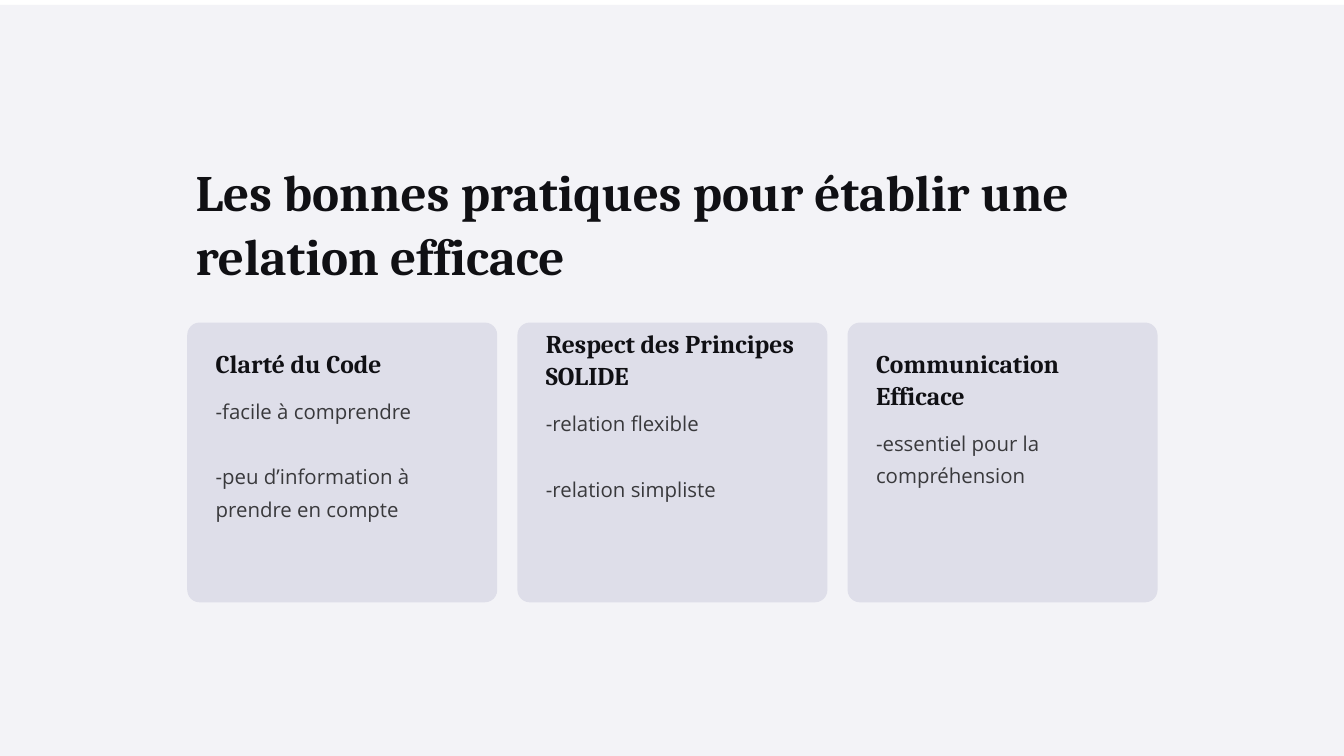
"""Build a slide with three cards of good practices under a title."""
from pptx import Presentation
from pptx.dml.color import RGBColor
from pptx.enum.shapes import MSO_SHAPE as Preset
from pptx.enum.text import MSO_ANCHOR as Anchor, MSO_AUTO_SIZE as AutoSize, PP_ALIGN as Align
from pptx.util import Pt

BACKDROP = RGBColor(0xF3, 0xF3, 0xF7)
CARD = RGBColor(0xDE, 0xDE, 0xE9)
INK = RGBColor(0x10, 0x10, 0x14)
BODY = RGBColor(0x39, 0x39, 0x3C)

SLIDE_WIDTH, SLIDE_HEIGHT = 1152, 648
LEFT, CARD_TOP = 160.5, 276.5
CARD_WIDTH, CARD_HEIGHT, CARD_STEP = 265.7, 239.8, 283
PADDING, TEXT_WIDTH = 17.3, 230.4

CARDS = [
    ("Clarté du Code", 293.8, 331.2,
     ["-facile à comprendre", "-peu d’information à prendre en compte"]),
    ("Respect des Principes SOLIDE", 276.5, 342,
     ["-relation flexible", "-relation simpliste"]),
    ("Communication Efficace", 293.8, 358.6,
     ["-essentiel pour la compréhension"]),
]


def add_panel(preset, left, top, width, height, colour):
    panel = page.shapes.add_shape(preset, Pt(left), Pt(top), Pt(width), Pt(height))
    panel.shadow.inherit = False
    panel.fill.solid()
    panel.fill.fore_color.rgb = colour
    panel.line.fill.background()
    return panel


def write(box, lines, font, size, spacing, colour, bold):
    frame = box.text_frame
    frame.word_wrap = True
    frame.auto_size = AutoSize.NONE
    frame.vertical_anchor = Anchor.TOP
    for index, line in enumerate(lines):
        para = frame.add_paragraph() if index else frame.paragraphs[0]
        para.alignment = Align.LEFT
        para.line_spacing = Pt(spacing)
        para.space_before = Pt(spacing if index else 0)
        span = para.add_run()
        span.text = line
        span.font.name = font
        span.font.size = Pt(size)
        span.font.bold = bold
        span.font.color.rgb = colour


deck = Presentation()
deck.slide_width, deck.slide_height = Pt(SLIDE_WIDTH), Pt(SLIDE_HEIGHT)
page = deck.slides.add_slide(deck.slide_layouts.get_by_name("Title Only"))

title = page.shapes.title
title.left, title.top = Pt(LEFT), Pt(131.8)
title.width, title.height = Pt(831), Pt(109.4)
write(title, ["Les bonnes pratiques pour établir une relation efficace"],
      "Cambria", 43.7, 54.7, INK, True)

backdrop = add_panel(Preset.RECTANGLE, 0, 4.3, SLIDE_WIDTH, SLIDE_HEIGHT - 4.3, BACKDROP)
title.element.addprevious(backdrop.element)

for column, (heading, heading_top, list_top, points) in enumerate(CARDS):
    card_left = LEFT + column * CARD_STEP
    text_left = Pt(card_left + PADDING)
    card = add_panel(Preset.ROUNDED_RECTANGLE, card_left, CARD_TOP,
                     CARD_WIDTH, CARD_HEIGHT, CARD)
    card.adjustments[0] = 0.044
    heading_box = page.shapes.add_textbox(text_left, Pt(heading_top), Pt(TEXT_WIDTH), Pt(54.7))
    write(heading_box, [heading], "Cambria", 21.9, 27.3, INK, True)
    list_box = page.shapes.add_textbox(text_left, Pt(list_top), Pt(TEXT_WIDTH), Pt(111.6))
    write(list_box, points, "Open Sans", 17.5, 28, BODY, False)

deck.save("out.pptx")
